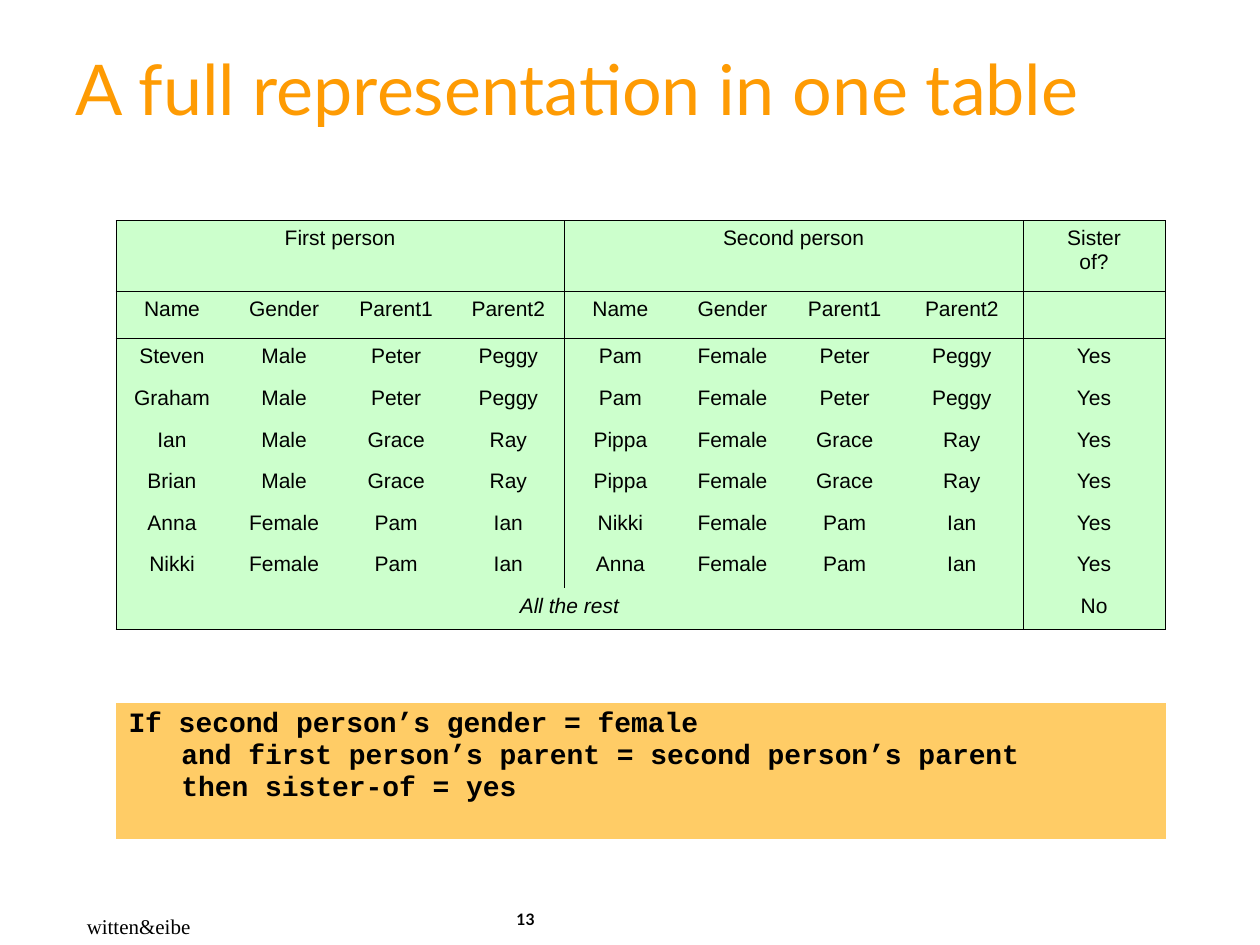
from lxml import etree
from pptx import Presentation
from pptx.dml.color import RGBColor
from pptx.enum.text import MSO_ANCHOR, MSO_AUTO_SIZE, PP_ALIGN
from pptx.oxml.ns import qn
from pptx.util import Inches, Pt

LEFT, CENTER = PP_ALIGN.LEFT, PP_ALIGN.CENTER
MIDDLE = MSO_ANCHOR.MIDDLE
FIXED, GROW = MSO_AUTO_SIZE.NONE, MSO_AUTO_SIZE.SHAPE_TO_FIT_TEXT
ORANGE = RGBColor(0xFE, 0x9B, 0x03)
BLACK = RGBColor(0x00, 0x00, 0x00)
GREEN = RGBColor(0xCC, 0xFF, 0xCC)
AMBER = RGBColor(0xFF, 0xCC, 0x66)
NO_STYLE = "{2D5ABB26-0587-4C30-8999-92F81FD0307C}"

PERSON_FIELDS = ["Name", "Gender", "Parent1", "Parent2"]
PAIRS = [
    ["Steven", "Male", "Peter", "Peggy", "Pam", "Female", "Peter", "Peggy", "Yes"],
    ["Graham", "Male", "Peter", "Peggy", "Pam", "Female", "Peter", "Peggy", "Yes"],
    ["Ian", "Male", "Grace", "Ray", "Pippa", "Female", "Grace", "Ray", "Yes"],
    ["Brian", "Male", "Grace", "Ray", "Pippa", "Female", "Grace", "Ray", "Yes"],
    ["Anna", "Female", "Pam", "Ian", "Nikki", "Female", "Pam", "Ian", "Yes"],
    ["Nikki", "Female", "Pam", "Ian", "Anna", "Female", "Pam", "Ian", "Yes"],
]
ROWS = [
    ["First person", "", "", "", "Second person", "", "", "", "Sister\nof?"],
    PERSON_FIELDS * 2 + [""],
    *PAIRS,
    ["All the rest"] + [""] * 7 + ["No"],
]
COLUMN_WIDTHS = [0.89] * 7 + [0.97, 1.13]
ROW_HEIGHTS = [0.56] + [0.33] * 8
LAST_ROW = len(ROWS) - 1
# Last column of each merged cell, by its first row and column
MERGED_TO = {(0, 0): 3, (0, 4): 7, (LAST_ROW, 0): 7}


def write(text_frame, text, size, font, color=BLACK, bold=False, italic=False, align=LEFT):
    paragraph = text_frame.paragraphs[0]
    paragraph.text = text
    paragraph.alignment = align
    for run in paragraph.runs:
        run.font.size = Pt(size)
        run.font.name = font
        run.font.color.rgb = color
        run.font.bold = bold
        run.font.italic = italic
    return paragraph


def add_plain_table(slide, row_heights, column_widths, left, top):
    """Add a table without banding or style borders."""
    shape = slide.shapes.add_table(
        len(row_heights), len(column_widths), Inches(left), Inches(top),
        Inches(sum(column_widths)), Inches(sum(row_heights)))
    table = shape.table
    table.first_row = table.horz_banding = False
    table._tbl.tblPr.find(qn("a:tableStyleId")).text = NO_STYLE
    for row, height in zip(table.rows, row_heights):
        row.height = Inches(height)
    for column, width in zip(table.columns, column_widths):
        column.width = Inches(width)
    return table


presentation = Presentation()
presentation.slide_width = Inches(10)
presentation.slide_height = Inches(7.5)
slide = presentation.slides.add_slide(presentation.slide_layouts[5])

title = slide.shapes.title
title.left, title.top = Inches(0.5), Inches(0.25)
title.width, title.height = Inches(9.08), Inches(1)
title.text_frame.vertical_anchor = MIDDLE
heading = write(title.text_frame, "A full representation in one table", 40, "Lato", ORANGE)
heading.line_spacing = 0.85

# Table of person pairs, ruled around each person and each header row
people = add_plain_table(slide, ROW_HEIGHTS, COLUMN_WIDTHS, 0.92, 1.75)
for row_index, row in enumerate(ROWS):
    is_rest = row_index == LAST_ROW
    for column_index, text in enumerate(row):
        cell = people.cell(row_index, column_index)
        right_column = MERGED_TO.get((row_index, column_index), column_index)
        ruled_sides = {
            "L": column_index in ((0, 8) if is_rest else (0, 4, 8)),
            "R": right_column in ((7, 8) if is_rest else (3, 7, 8)),
            "T": row_index in (0, 1, 2),
            "B": row_index in (0, 1, LAST_ROW),
        }
        properties = cell._tc.get_or_add_tcPr()
        for side, ruled in ruled_sides.items():
            line = etree.SubElement(properties, qn(f"a:ln{side}"), w=str(Pt(0.45)))
            if ruled:
                fill = etree.SubElement(line, qn("a:solidFill"))
                etree.SubElement(fill, qn("a:srgbClr"), val=str(BLACK))
            else:
                etree.SubElement(line, qn("a:noFill"))
        cell.fill.solid()
        cell.fill.fore_color.rgb = GREEN
        if text:
            write(cell.text_frame, text, 12, "Arial", italic=text == "All the rest", align=CENTER)

for (row_index, first), last in MERGED_TO.items():
    people.cell(row_index, first).merge(people.cell(row_index, last))

# The empty header cell sets the height of its row through its font
empty_paragraph = people.cell(1, 8).text_frame.paragraphs[0]
end_properties = etree.SubElement(empty_paragraph._p, qn("a:endParaRPr"), sz="1800")
etree.SubElement(end_properties, qn("a:latin"), typeface="Times New Roman")

# Rule with a hanging indent
rule_cell = add_plain_table(slide, [1.08], [8.33], 0.92, 5.58).cell(0, 0)
rule_cell.fill.solid()
rule_cell.fill.fore_color.rgb = AMBER
rule = write(
    rule_cell.text_frame,
    "If second person’s gender = female\n"
    "and first person’s parent = second person’s parent\n"
    "then sister-of = yes",
    16, "Courier New", bold=True)
rule_properties = rule._p.get_or_add_pPr()
rule_properties.set("marL", str(Inches(0.42)))
rule_properties.set("indent", str(Inches(-0.42)))

# Footer
for text, left, top, width, height, size, font, bold, wrap, auto_size in [
    ("witten&eibe", 0.59, 7.2, 1.05, 0.3, 12, "Times New Roman", False, False, GROW),
    ("13", 4, 7.17, 1.02, 0.33, 9, "Lato", True, True, FIXED),
]:
    box = slide.shapes.add_textbox(Inches(left), Inches(top), Inches(width), Inches(height))
    box.text_frame.word_wrap = wrap
    box.text_frame.auto_size = auto_size
    write(box.text_frame, text, size, font, bold=bold)

presentation.save("out.pptx")
